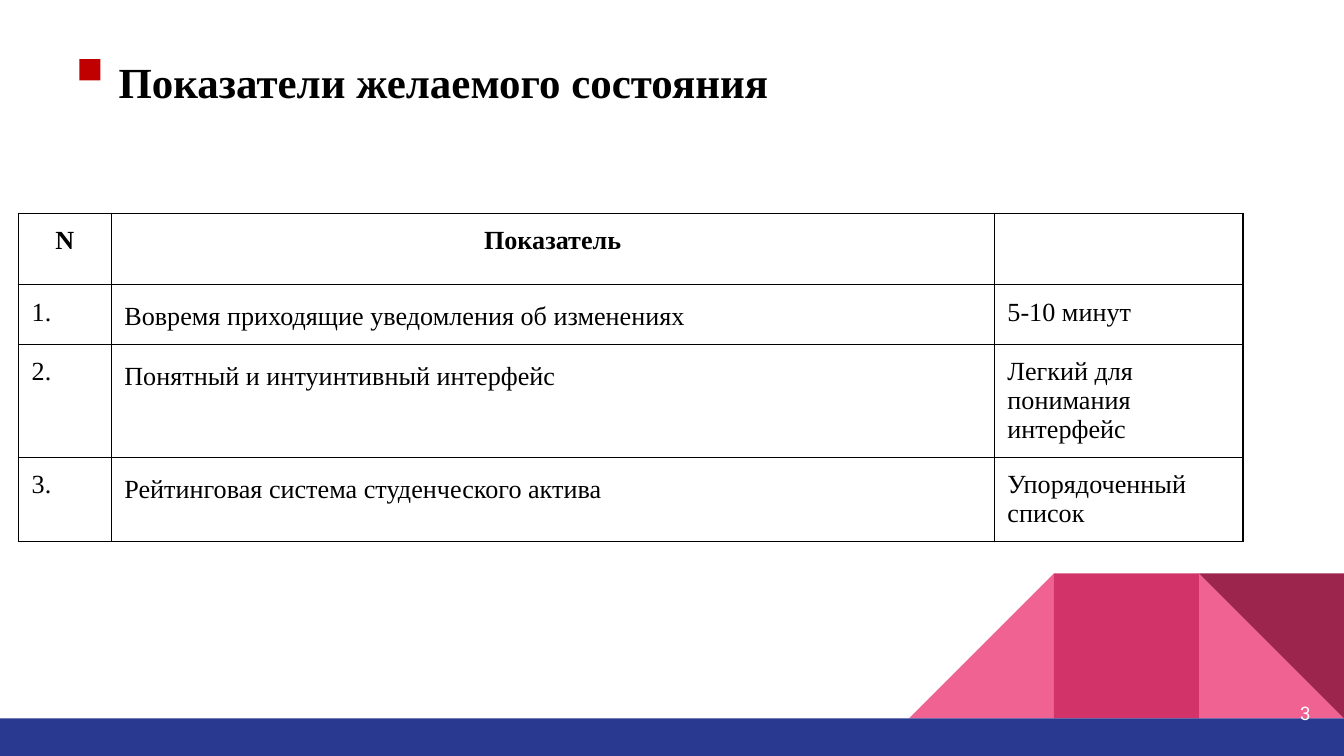
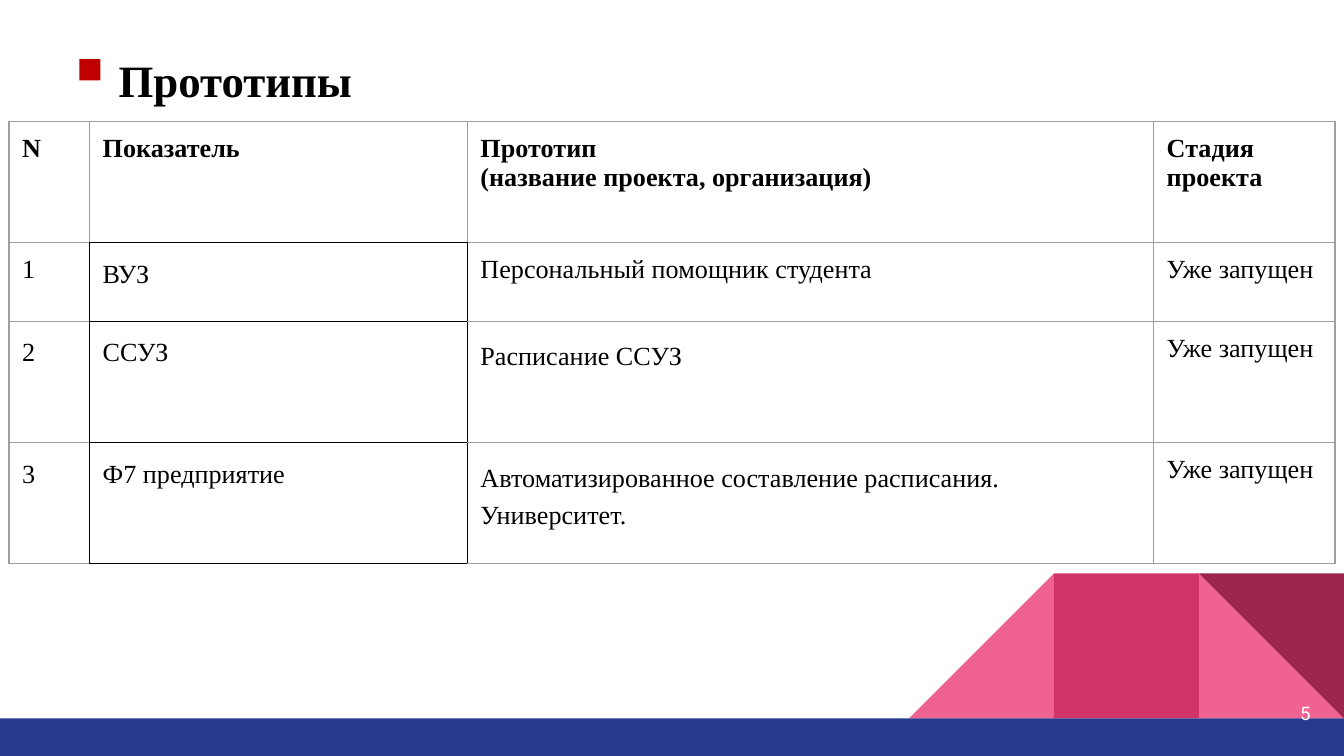
from dataclasses import dataclass

from lxml import etree
from pptx import Presentation
from pptx import util as u
from pptx.dml.color import RGBColor
from pptx.enum import shapes, text
from pptx.oxml import ns

Cm = u.Cm


@dataclass(frozen=True)
class Theme:
    ink: str = "000000"
    paper: str = "FFFFFF"
    grid: str = "9E9E9E"
    marker: str = "C00000"
    band: str = "2A3990"
    pink: str = "F06292"
    rose: str = "D23369"
    wine: str = "9C254D"
    serif: str = "Times New Roman"
    sans: str = "Roboto"
    cell_size: float = 14
    number_size: float = 10
    border: float = 0.75


THEME = Theme()
SLIDE_W, SLIDE_H = 25.4, 14.29


def place(box):
    return [Cm(length) for length in box]


def write(frame, content, *, size=THEME.cell_size, font=THEME.serif, color=THEME.ink,
          bold=False, align=text.PP_ALIGN.LEFT, spacing=None,
          anchor=text.MSO_ANCHOR.TOP, inset=0.25):
    """Fill a text frame or table cell, one paragraph per line of content."""
    frame.margin_left = frame.margin_right = Cm(inset)
    frame.margin_top = frame.margin_bottom = Cm(inset)
    frame.vertical_anchor = anchor
    body = getattr(frame, "text_frame", frame)
    body.word_wrap = True
    body.text = content
    for paragraph in body.paragraphs:
        paragraph.alignment = align
        if spacing:
            paragraph.line_spacing = spacing
        style = paragraph.font if not paragraph.runs else paragraph.runs[0].font
        style.name, style.size, style.bold = font, u.Pt(size), bold
        style.color.rgb = RGBColor.from_string(color)


def add_block(slide, kind, box, color, flip=False, turn=0):
    block = slide.shapes.add_shape(kind, *place(box))
    block.shadow.inherit = False
    block.fill.solid()
    block.fill.fore_color.rgb = RGBColor.from_string(color)
    block.line.fill.background()
    block.rotation = turn
    if flip:
        block.element.xpath(".//a:xfrm")[0].set("flipH", "1")
    return block


# Shared layout: triangles and band at the foot
def decorate_layout(layout, slide):
    side, band_h = 2.74, 0.71
    top = SLIDE_H - band_h - side
    left, middle, right = (SLIDE_W - n * side for n in (3, 2, 1))
    triangle, rect = shapes.MSO_SHAPE.RIGHT_TRIANGLE, shapes.MSO_SHAPE.RECTANGLE
    parts = [
        add_block(slide, triangle, (right, top, side, side), THEME.pink),
        add_block(slide, triangle, (left, top, side, side), THEME.pink, flip=True),
        add_block(slide, rect, (middle, top, side, side), THEME.rose),
        add_block(slide, triangle, (right, top, side, side), THEME.wine, turn=180),
        add_block(slide, rect, (0, top + side, SLIDE_W, band_h), THEME.band),
    ]
    for number, part in enumerate(parts, start=100):
        part.element.xpath(".//p:cNvPr")[0].set("id", str(number))
        layout.shapes.element.append(part.element)


def drop_footers(holder):
    kinds = shapes.PP_PLACEHOLDER
    for footer in list(holder.placeholders):
        if footer.placeholder_format.type in (kinds.DATE, kinds.FOOTER, kinds.SLIDE_NUMBER):
            holder.shapes.element.remove(footer.element)


# Heading with its red marker
def add_heading(slide, heading, box, size):
    title = slide.shapes.title
    title.left, title.top, title.width, title.height = place(box)
    write(title.text_frame, heading, size=size, bold=True,
          anchor=text.MSO_ANCHOR.BOTTOM, inset=0.13)
    title.text_frame.auto_size = text.MSO_AUTO_SIZE.NONE
    left, top = box[:2]
    add_block(slide, shapes.MSO_SHAPE.RECTANGLE,
              (left - 0.61, 1.12, 0.4, 0.4), THEME.marker)


def add_page_number(slide, number):
    page = slide.shapes.add_textbox(*place((23.5, 12.93, 1.52, 1.09)))
    write(page.text_frame, str(number), size=THEME.number_size, font=THEME.sans,
          color=THEME.paper, align=text.PP_ALIGN.RIGHT, anchor=text.MSO_ANCHOR.MIDDLE)


def set_border(cell, side, color):
    line = etree.SubElement(cell._tc.get_or_add_tcPr(), ns.qn(f"a:ln{side}"),
                            w=str(u.Pt(THEME.border)))
    fill = etree.SubElement(line, ns.qn("a:solidFill"))
    etree.SubElement(fill, ns.qn("a:srgbClr"), val=color)


# Table; cells listed in framed get dark edges on all sides
def add_grid(slide, origin, widths, heights, rows, *, color, spacing,
             framed=(), header_align=text.PP_ALIGN.LEFT):
    box = (*origin, sum(widths), sum(heights))
    grid = slide.shapes.add_table(len(rows), len(widths), *place(box)).table
    grid.first_row = grid.horz_banding = False
    for column, width in zip(grid.columns, widths):
        column.width = Cm(width)
    for row, height in zip(grid.rows, heights):
        row.height = Cm(height)
    neighbours = {"L": (0, -1), "R": (0, 1), "T": (-1, 0), "B": (1, 0)}
    for r, row in enumerate(rows):
        for c, content in enumerate(row):
            cell = grid.cell(r, c)
            write(cell, content, bold=r == 0, spacing=spacing.get((r, c)),
                  align=header_align if r == 0 else text.PP_ALIGN.LEFT)
            for side, (down, across) in neighbours.items():
                dark = (r, c) in framed or (r + down, c + across) in framed
                set_border(cell, side, THEME.ink if dark else color)
            cell.fill.background()


def build_indicators(slide):
    add_heading(slide, "Показатели желаемого состояния", (2.11, 0.1, 17.48, 2.06), 23)
    rows = [
        ("N", "Показатель", ""),
        ("1.", "Вовремя приходящие уведомления об изменениях", "5-10 минут"),
        ("2.", "Понятный и интуинтивный интерфейс", "Легкий для понимания интерфейс"),
        ("3.", "Рейтинговая система студенческого актива", "Упорядоченный список"),
    ]
    add_grid(slide, (0.35, 4.03), (1.75, 16.69, 4.7), (1.35, 1.09, 1.78, 1.47), rows,
             color=THEME.ink, spacing={(r, 1): 1.15 for r in (1, 2, 3)},
             header_align=text.PP_ALIGN.CENTER)
    add_page_number(slide, 3)


def build_prototypes(slide):
    add_heading(slide, "Прототипы", (2.11, 0.08, 18.31, 2.06), 24)
    launched = "Уже запущен"
    rows = [
        ("N", "Показатель", "Прототип\n(название проекта, организация)", "Стадия проекта"),
        ("1", "ВУЗ", "Персональный помощник студента", launched),
        ("2", "ССУЗ", "Расписание ССУЗ", launched),
        ("3", "Ф7 предприятие",
         "Автоматизированное составление расписания. Университет.", launched),
    ]
    framed = [(r, 1) for r in (1, 2, 3)]
    spacing = dict.fromkeys(framed + [(2, 0), (3, 0)], 1.15)
    spacing.update({(2, 2): 1.29, (3, 2): 1.29})
    add_grid(slide, (0.17, 2.29), (1.52, 7.14, 12.97, 3.43), (2.29, 1.49, 2.29, 2.29),
             rows, color=THEME.grid, spacing=spacing, framed=framed)
    add_page_number(slide, 5)


def main():
    deck = Presentation()
    deck.slide_width, deck.slide_height = Cm(SLIDE_W), Cm(SLIDE_H)
    layout = deck.slide_layouts[5]
    drop_footers(deck.slide_master)
    drop_footers(layout)
    indicators, prototypes = (deck.slides.add_slide(layout) for _ in range(2))
    decorate_layout(layout, indicators)
    build_indicators(indicators)
    build_prototypes(prototypes)
    deck.save("out.pptx")


if __name__ == "__main__":
    main()
